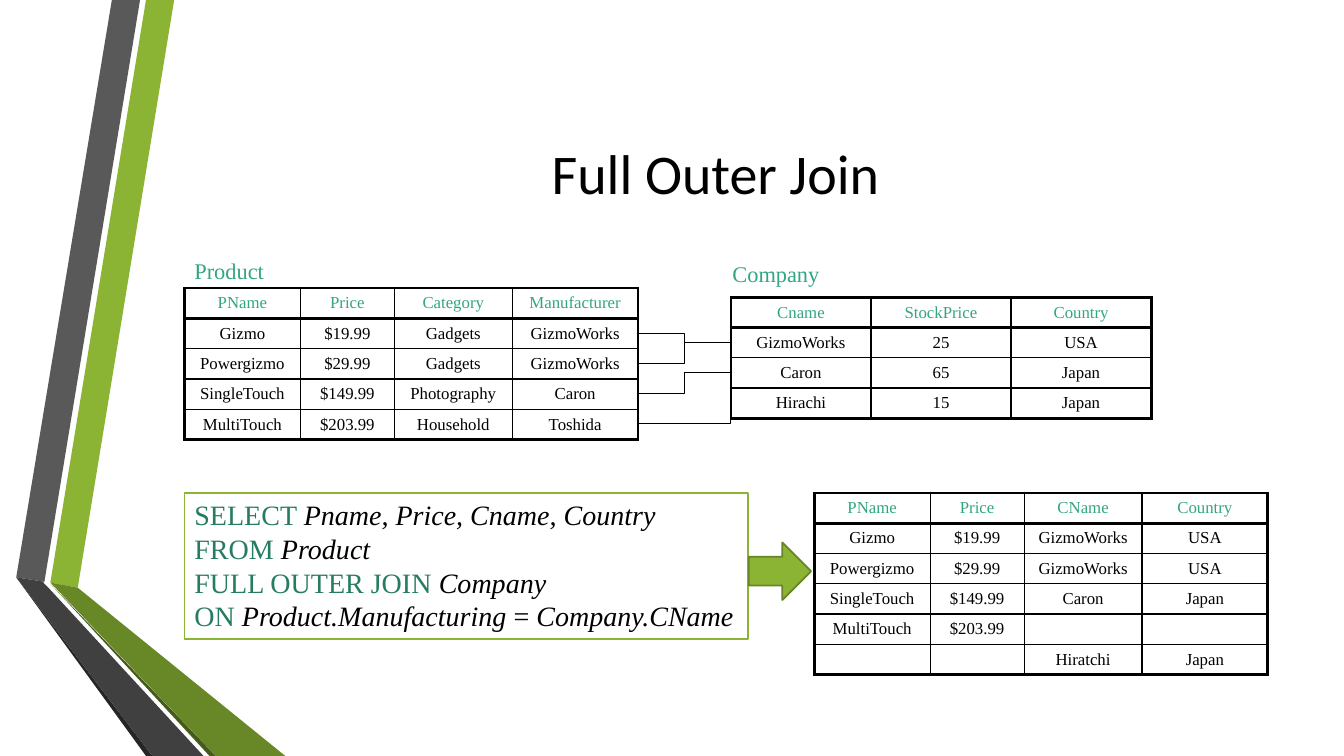
from lxml import etree
from pptx import Presentation
from pptx.dml.color import RGBColor
from pptx.enum.shapes import MSO_CONNECTOR, MSO_SHAPE
from pptx.enum.text import MSO_ANCHOR, PP_ALIGN
from pptx.oxml.ns import qn
from pptx.util import Cm, Pt

ELBOW = MSO_CONNECTOR.ELBOW
RECTANGLE, RIGHT_ARROW = MSO_SHAPE.RECTANGLE, MSO_SHAPE.RIGHT_ARROW
MIDDLE, TOP = MSO_ANCHOR.MIDDLE, MSO_ANCHOR.TOP
CENTER, LEFT = PP_ALIGN.CENTER, PP_ALIGN.LEFT

BLACK = RGBColor(0x00, 0x00, 0x00)
WHITE = RGBColor(0xFF, 0xFF, 0xFF)
TEAL = RGBColor(0x33, 0xA5, 0x83)
DARK_TEAL = RGBColor(0x26, 0x7C, 0x62)
GREEN = RGBColor(0x8B, 0xB4, 0x34)
ARROW_EDGE = RGBColor(0x67, 0x85, 0x26)
FOLD_GREEN = RGBColor(0x68, 0x87, 0x27)
SHADE_GREEN = RGBColor(0x46, 0x5A, 0x1A)
GREY = RGBColor(0x59, 0x59, 0x59)
FOLD_GREY = RGBColor(0x40, 0x40, 0x40)
SHADE_GREY = RGBColor(0x26, 0x26, 0x26)

SERIF, SANS = "Times New Roman", "Calibri"
NO_STYLE = "{2D5ABB26-0587-4C30-8999-92F81FD0307C}"
THICK, THIN = Pt(2.25), Pt(1)
ROW_HEIGHT = 0.76

# Corners of the folded ribbons, in hundredths of a centimetre
RIBBONS = [
    (GREEN, [(86, 1468), (155, 1481), (398, 0), (327, 0)]),
    (GREY, [(312, 0), (241, 0), (0, 1455), (71, 1466)]),
    (SHADE_GREY, [(0, 1455), (327, 1905), (343, 1905)]),
    (SHADE_GREEN, [(86, 1471), (487, 1905), (503, 1905)]),
    (FOLD_GREEN, [(86, 1468), (503, 1905), (678, 1905), (155, 1481)]),
    (FOLD_GREY, [(472, 1905), (81, 1481), (68, 1468), (71, 1466), (0, 1455), (343, 1905)]),
]

PRODUCT = [
    ["PName", "Price", "Category", "Manufacturer"],
    ["Gizmo", "$19.99", "Gadgets", "GizmoWorks"],
    ["Powergizmo", "$29.99", "Gadgets", "GizmoWorks"],
    ["SingleTouch", "$149.99", "Photography", "Caron"],
    ["MultiTouch", "$203.99", "Household", "Toshida"],
]
COMPANY = [
    ["Cname", "StockPrice", "Country"],
    ["GizmoWorks", "25", "USA"],
    ["Caron", "65", "Japan"],
    ["Hirachi", "15", "Japan"],
]
RESULT = [
    ["PName", "Price", "CName", "Country"],
    ["Gizmo", "$19.99", "GizmoWorks", "USA"],
    ["Powergizmo", "$29.99", "GizmoWorks", "USA"],
    ["SingleTouch", "$149.99", "Caron", "Japan"],
    ["MultiTouch", "$203.99", "", ""],
    ["", "", "Hiratchi", "Japan"],
]
WIDE_COLUMNS = [2.92, 2.37, 2.97, 3.17]
COMPANY_COLUMNS = [3.53] * 3

# Each line of the query: (text, is keyword, is italic)
QUERY = [
    [("SELECT ", True, False), ("Pname, Price, Cname, Country", False, True)],
    [("FROM ", True, False), ("Product", False, True)],
    [("FULL OUTER JOIN ", True, False), ("Company", False, True)],
    [("ON ", True, False), ("Product.Manufacturing ", False, True),
     ("= ", False, False), ("Company.CName", False, True)],
]


def set_font(para, size, name, color):
    para.font.size, para.font.name = Pt(size), name
    para.font.color.rgb = color


def draw_ribbons(page, left, top):
    for color, corners in RIBBONS:
        builder = page.shapes.build_freeform(*corners[0], scale=Cm(0.01))
        builder.add_line_segments(corners[1:], close=True)
        ribbon = builder.convert_to_shape(Cm(left), Cm(top))
        ribbon.fill.solid()
        ribbon.fill.fore_color.rgb = color
        ribbon.line.fill.background()
        ribbon.shadow.inherit = False


def draw_text(page, left, top, width, height, text, size, name, color, align, anchor):
    box = page.shapes.add_textbox(Cm(left), Cm(top), Cm(width), Cm(height))
    box.text_frame.word_wrap = True
    box.text_frame.vertical_anchor = anchor
    para = box.text_frame.paragraphs[0]
    para.text, para.alignment = text, align
    set_font(para, size, name, color)


def set_borders(cell, weights):
    properties = cell._tc.get_or_add_tcPr()
    for side, weight in zip("LRTB", weights):
        border = etree.SubElement(properties, qn(f"a:ln{side}"), w=str(weight))
        fill = etree.SubElement(border, qn("a:solidFill"))
        etree.SubElement(fill, qn("a:srgbClr"), val=str(BLACK))


def draw_relation(page, left, top, columns, rows, row_height=ROW_HEIGHT):
    frame = page.shapes.add_table(len(rows), len(columns), Cm(left), Cm(top),
                                  Cm(sum(columns)), Cm(row_height * len(rows)))
    table = frame.table
    table.first_row = table.horz_banding = False
    table._tbl.tblPr.find(qn("a:tableStyleId")).text = NO_STYLE
    for column, width in zip(table.columns, columns):
        column.width = Cm(width)
    last_row, last_column = len(rows) - 1, len(columns) - 1
    for i, row in enumerate(rows):
        table.rows[i].height = Cm(row_height)
        for j, text in enumerate(row):
            cell = table.cell(i, j)
            cell.vertical_anchor = MIDDLE
            # Thick outline and header rule, thin lines inside
            thick_sides = (j == 0, j == last_column, i <= 1, i in (0, last_row))
            set_borders(cell, [THICK if thick else THIN for thick in thick_sides])
            cell.fill.solid()
            cell.fill.fore_color.rgb = WHITE
            para = cell.text_frame.paragraphs[0]
            para.alignment = CENTER
            set_font(para, 12, SERIF, TEAL if i == 0 else BLACK)
            if text:
                para.text = text
            else:
                para._p.get_or_add_endParaRPr().set("sz", "1200")


def draw_joins(page, left, right, product_top, company_top):
    # Where each product row ends, in rows below the top of the company table
    for i, company_row in enumerate([1.5, 1.5, 2.5, 4]):
        line = page.shapes.add_connector(
            ELBOW, Cm(left), Cm(product_top + i * ROW_HEIGHT),
            Cm(right), Cm(company_top + company_row * ROW_HEIGHT))
        line.line.color.rgb = BLACK
        line.line.width = Pt(0.75)
        properties = line._element.spPr
        etree.SubElement(properties, qn("a:effectLst"))
        if company_row == 4:  # the unmatched row only touches the corner
            properties.find(qn("a:prstGeom")).set("prst", "bentConnector2")


def draw_shape(page, kind, left, top, width, height, fill, edge):
    shape = page.shapes.add_shape(kind, Cm(left), Cm(top), Cm(width), Cm(height))
    shape.shadow.inherit = False
    shape.fill.solid()
    shape.fill.fore_color.rgb = fill
    shape.line.color.rgb = edge
    shape.line.width = Pt(1.25)
    return shape


def draw_query(page, left, top, width, height):
    box = draw_shape(page, RECTANGLE, left, top, width, height, WHITE, GREEN)
    box.text_frame.word_wrap = False
    box.text_frame.vertical_anchor = TOP
    para = box.text_frame.paragraphs[0]
    para.alignment = LEFT
    para.font.size, para.font.name = Pt(20), SERIF
    for i, pieces in enumerate(QUERY):
        if i:
            para.add_line_break()
        for text, keyword, italic in pieces:
            span = para.add_run()
            span.text = text
            span.font.italic = italic
            span.font.color.rgb = DARK_TEAL if keyword else BLACK
    # Arrow towards the result
    draw_shape(page, RIGHT_ARROW, left + width + 0.02, top + 1.25, 1.57, 1.45,
               GREEN, ARROW_EDGE)


def main():
    deck = Presentation()
    deck.slide_width, deck.slide_height = Cm(33.87), Cm(19.05)
    page = deck.slides.add_slide(deck.slide_layouts[6])
    draw_ribbons(page, 0.41, 0)
    draw_text(page, 4.11, 1.9, 27.84, 4.88, "Full Outer Join", 40, SANS, BLACK, CENTER, MIDDLE)
    # Source tables and the rows they share
    draw_relation(page, 4.65, 7.26, WIDE_COLUMNS, PRODUCT, 0.73)
    draw_text(page, 4.65, 6.35, 3.45, 0.94, "Product", 16, SERIF, TEAL, LEFT, TOP)
    draw_text(page, 18.21, 6.43, 5.21, 0.94, "Company", 16, SERIF, TEAL, LEFT, TOP)
    draw_relation(page, 18.42, 7.49, COMPANY_COLUMNS, COMPANY)
    draw_joins(page, 16.08, 18.42, 8.4, 7.49)
    # Query and its result
    draw_query(page, 4.65, 12.42, 14.2, 3.68)
    draw_relation(page, 20.52, 12.42, WIDE_COLUMNS, RESULT)
    deck.save("out.pptx")


if __name__ == "__main__":
    main()
